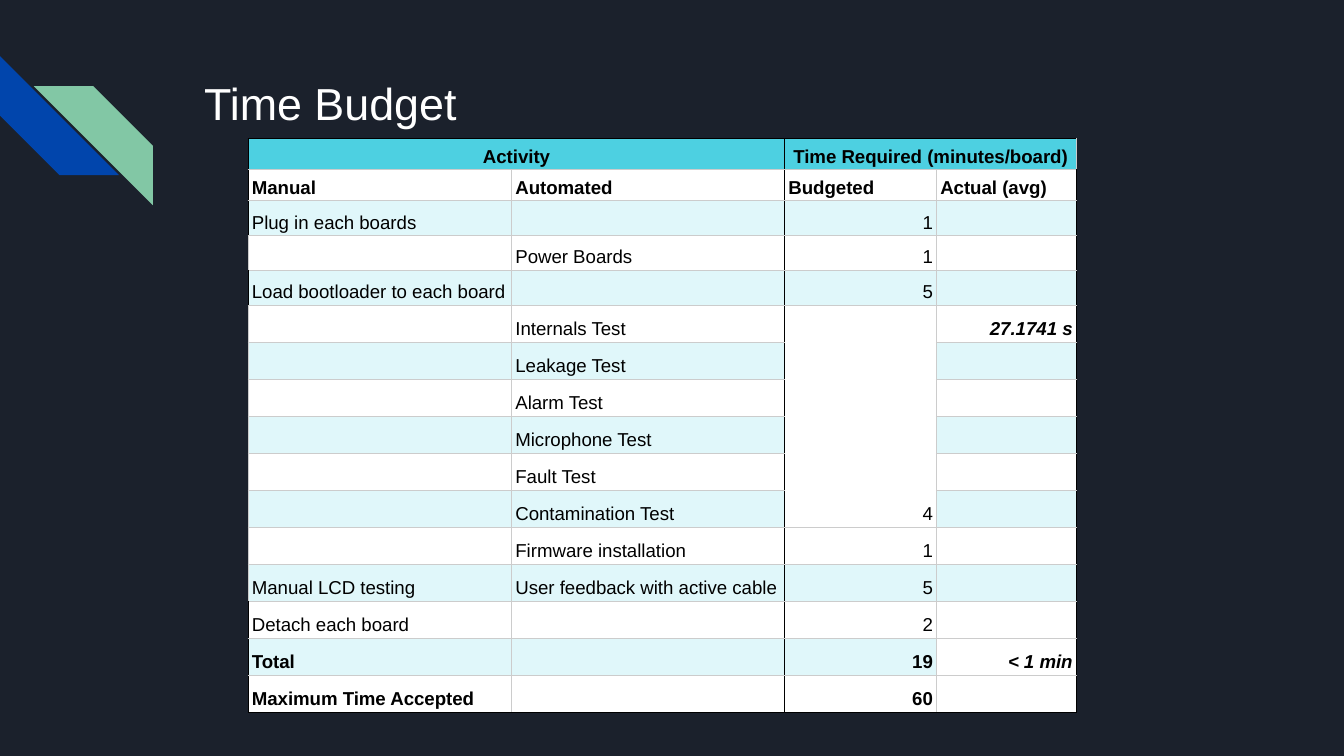
import dataclasses

import lxml.etree
import pptx
import pptx.dml.color
import pptx.enum.shapes
import pptx.enum.text
import pptx.oxml.ns
import pptx.util

Cm = pptx.util.Cm
Pt = pptx.util.Pt
RGB = pptx.dml.color.RGBColor.from_string
Align = pptx.enum.text.PP_ALIGN
qn = pptx.oxml.ns.qn


@dataclasses.dataclass(frozen=True)
class Theme:
    font: str = "Arial"
    title_pt: float = 24
    cell_pt: float = 10
    border_pt: float = 0.75
    background: str = "1B212C"
    title: str = "FFFFFF"
    blue: str = "0145AC"
    green: str = "82C7A5"
    header: str = "4DD0E1"
    band: str = "E0F7FA"
    plain: str = "FFFFFF"
    ink: str = "000000"
    grid: str = "CCCCCC"


THEME = Theme()

HEADER_ROWS = 2
BUDGET_COL, ACTUAL_COL = 2, 3
TESTS = range(5, 11)  # rows sharing one budget
ROWS = [
    ("Activity", "", "Time Required (minutes/board)", ""),
    ("Manual", "Automated", "Budgeted", "Actual (avg)"),
    ("Plug in each boards", "", "1", ""),
    ("", "Power Boards", "1", ""),
    ("Load bootloader to each board", "", "5", ""),
    ("", "Internals Test", "4", "27.1741 s"),
    ("", "Leakage Test", "", ""),
    ("", "Alarm Test", "", ""),
    ("", "Microphone Test", "", ""),
    ("", "Fault Test", "", ""),
    ("", "Contamination Test", "", ""),
    ("", "Firmware installation", "1", ""),
    ("Manual LCD testing", "User feedback with active cable", "5", ""),
    ("Detach each board", "", "2", ""),
    ("Total", "", "19", "< 1 min"),
    ("Maximum Time Accepted", "", "60", ""),
]
SUMMARY_ROWS = range(len(ROWS) - 2, len(ROWS))
COL_CM = [4.98, 5.16, 2.87, 2.64]
ROW_CM = [0.58] * HEADER_ROWS + [0.66] * 3 + [0.7] * 11


def add_run(p, text, size, color, bold=False, italic=False):
    r = p.add_run()
    r.text = text
    r.font.name = THEME.font
    r.font.size = Pt(size)
    r.font.bold = bold
    r.font.italic = italic
    r.font.color.rgb = RGB(color)


def add_stripes(s, x, y, size):
    """Place the blue stripe at x, y and the green one down and right of it."""
    stripes = [(0, 0, THEME.blue, 270, False), (0.64, 0.57, THEME.green, 0, True)]
    for dx, dy, color, rotation, flipped in stripes:
        sp = s.shapes.add_shape(
            pptx.enum.shapes.MSO_SHAPE.DIAGONAL_STRIPE,
            Cm(x + dx), Cm(y + dy), Cm(size), Cm(size))
        sp.adjustments[0] = 0.5
        sp.rotation = rotation
        sp.shadow.inherit = False
        sp.fill.solid()
        sp.fill.fore_color.rgb = RGB(color)
        sp.line.fill.background()
        if flipped:
            sp._element.spPr.find(qn("a:xfrm")).set("flipH", "1")


def add_title(s, x, y, w, h):
    tf = s.shapes.add_textbox(Cm(x), Cm(y), Cm(w), Cm(h)).text_frame
    tf.word_wrap = True
    tf.margin_left = tf.margin_right = tf.margin_top = tf.margin_bottom = Cm(0.25)
    add_run(tf.paragraphs[0], "Time Budget", THEME.title_pt, THEME.title)


def cell_fill(row, col):
    if row == 0:
        return THEME.header
    shared_budget = col == BUDGET_COL and row in TESTS
    total_actual = col == ACTUAL_COL and row in SUMMARY_ROWS
    if row < HEADER_ROWS or row % 2 or shared_budget or total_actual:
        return THEME.plain
    return THEME.band


def cell_borders(row, col):
    """Colours of the left, right, top and bottom edges."""
    manual_step = ROWS[row][0] not in ("", "Manual LCD testing")
    black_edges = {
        "a:lnL": col == BUDGET_COL or (col == 0 and manual_step),
        "a:lnR": col in (BUDGET_COL - 1, ACTUAL_COL),
        "a:lnT": row == 0,
        "a:lnB": row == len(ROWS) - 1,
    }
    return {tag: THEME.ink if black else THEME.grid
            for tag, black in black_edges.items()}


def draw_borders(cell, borders):
    tc_pr = cell._tc.get_or_add_tcPr()
    for i, (tag, color) in enumerate(borders.items()):
        ln = lxml.etree.Element(qn(tag), w=str(Pt(THEME.border_pt)))
        fill = lxml.etree.SubElement(ln, qn("a:solidFill"))
        lxml.etree.SubElement(fill, qn("a:srgbClr"), val=color)
        tc_pr.insert(i, ln)


def fill_cell(cell, row, col):
    cell.margin_left = cell.margin_right = Cm(0.07)
    cell.margin_top = cell.margin_bottom = Cm(0.05)
    cell.vertical_anchor = pptx.enum.text.MSO_ANCHOR.BOTTOM
    cell.fill.solid()
    cell.fill.fore_color.rgb = RGB(cell_fill(row, col))
    draw_borders(cell, cell_borders(row, col))

    p = cell.text_frame.paragraphs[0]
    text = ROWS[row][col]
    if not text:
        lxml.etree.SubElement(p._p, qn("a:endParaRPr"), sz=str(int(THEME.cell_pt * 100)))
        return
    measured = col == ACTUAL_COL and row >= HEADER_ROWS
    if row == 0:
        p.alignment = Align.CENTER
    elif row >= HEADER_ROWS and col >= BUDGET_COL:
        p.alignment = Align.RIGHT
    if not measured:
        p.line_spacing = 1.15
    bold = row < HEADER_ROWS or row in SUMMARY_ROWS or measured
    add_run(p, text, THEME.cell_pt, THEME.ink, bold, measured)


def add_budget_table(s, x, y):
    table = s.shapes.add_table(
        len(ROWS), len(COL_CM), Cm(x), Cm(y), Cm(sum(COL_CM)), Cm(sum(ROW_CM))).table
    table.first_row = table.horz_banding = False
    for column, width in zip(table.columns, COL_CM):
        column.width = Cm(width)
    for row, height in zip(table.rows, ROW_CM):
        row.height = Cm(height)
    for row in range(len(ROWS)):
        for col in range(len(COL_CM)):
            fill_cell(table.cell(row, col), row, col)
    for col in (0, BUDGET_COL):
        table.cell(0, col).merge(table.cell(0, col + 1))
    table.cell(TESTS[0], BUDGET_COL).merge(table.cell(TESTS[-1], BUDGET_COL))


def main():
    prs = pptx.Presentation()
    prs.slide_width, prs.slide_height = Cm(25.4), Cm(14.29)
    s = prs.slides.add_slide(prs.slide_layouts[6])
    s.background.fill.solid()
    s.background.fill.fore_color.rgb = RGB(THEME.background)
    add_stripes(s, 0, 1.06, 2.25)
    add_title(s, 3.61, 1.18, 19.56, 2.54)
    add_budget_table(s, 4.69, 2.62)
    prs.save("out.pptx")


if __name__ == "__main__":
    main()
